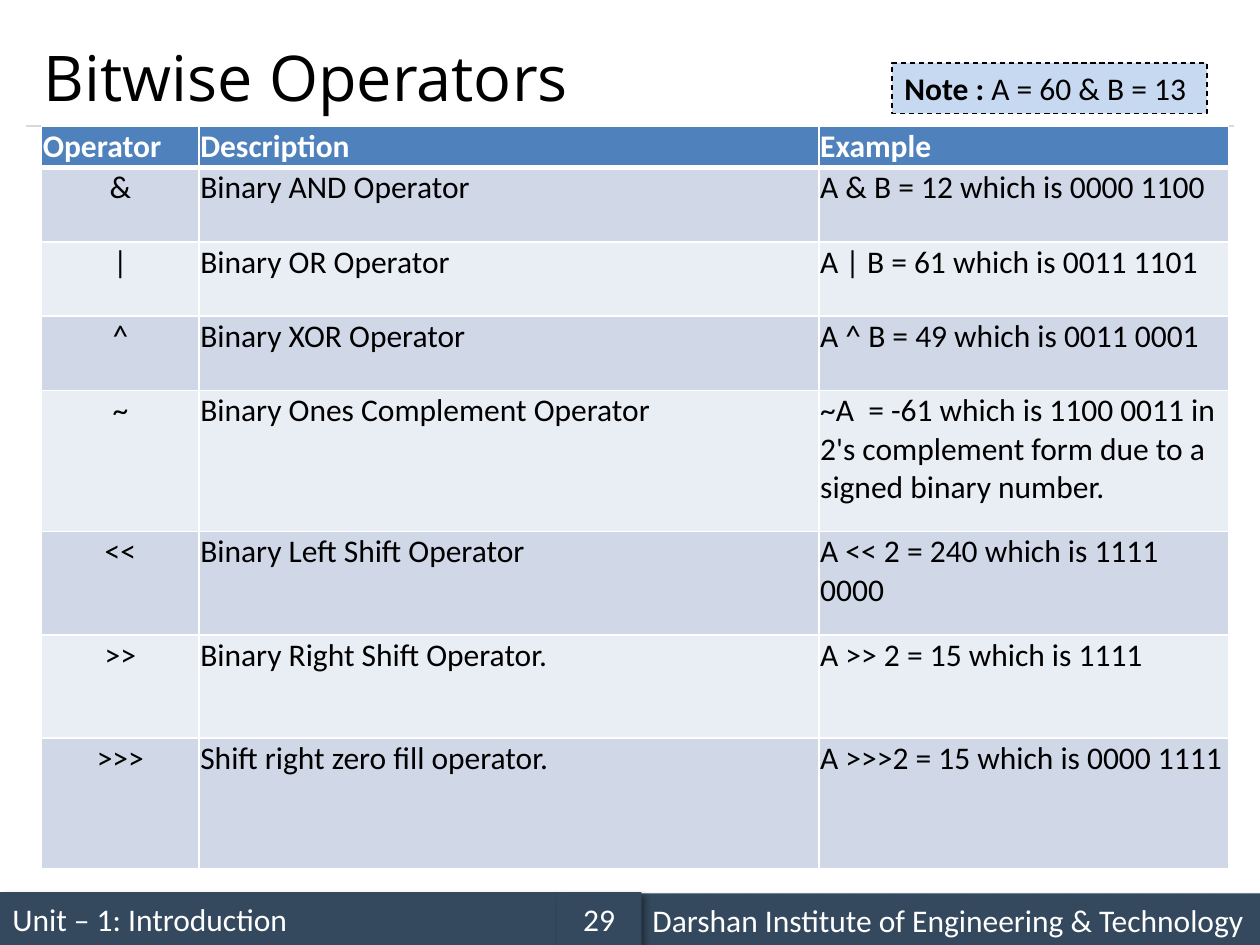
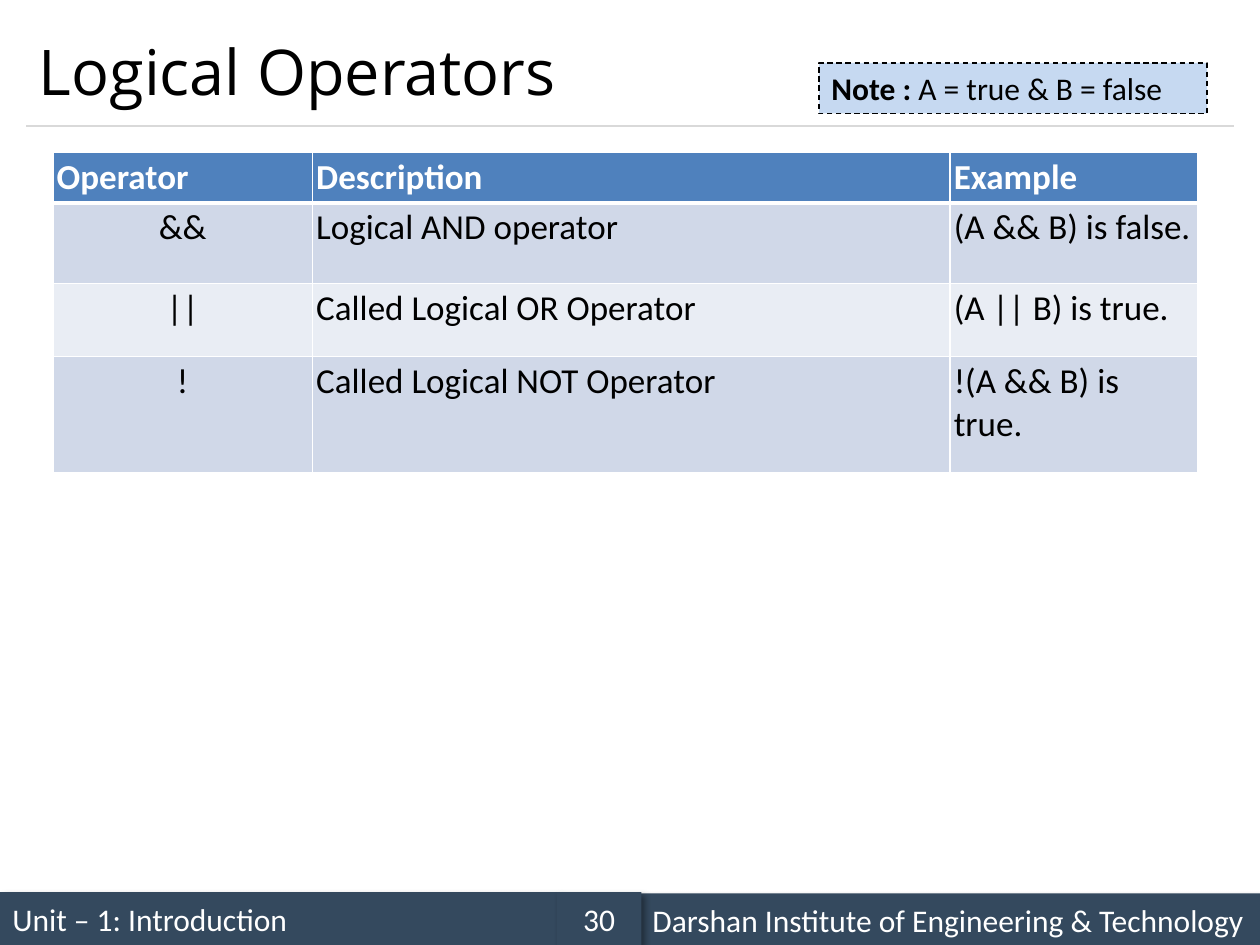
"""Build two slides on Java operators with a shared title, note and footer style."""
from dataclasses import dataclass
from typing import Any

from lxml import etree
from pptx import Presentation
from pptx.dml.color import RGBColor
from pptx.enum.dml import MSO_LINE
from pptx.enum.shapes import MSO_CONNECTOR, MSO_SHAPE
from pptx.enum.text import MSO_ANCHOR, MSO_AUTO_SIZE, PP_ALIGN
from pptx.oxml import parse_xml
from pptx.util import Inches, Pt

RECT = MSO_SHAPE.RECTANGLE
LINE = MSO_CONNECTOR.STRAIGHT
DASH = MSO_LINE.DASH
TOP, MIDDLE = MSO_ANCHOR.TOP, MSO_ANCHOR.MIDDLE
LEFT, CENTER = PP_ALIGN.LEFT, PP_ALIGN.CENTER
FIT = MSO_AUTO_SIZE.SHAPE_TO_FIT_TEXT
NS = "http://schemas.openxmlformats.org/drawingml/2006/main"


@dataclass(frozen=True)
class Theme:
    black: str = "000000"
    white: str = "FFFFFF"
    bar: str = "34495E"
    rule: str = "D9D9D9"
    head: str = "4F81BD"
    bands: tuple[str, str] = ("D0D8E8", "E9EDF4")
    note: str = "C6D9F1"
    font: str = "Calibri"
    title_font: str = "Open Sans"
    title_size: int = 36
    body_size: int = 18
    thin: float = 0.75
    grid: int = 1
    thick: int = 3


@dataclass(frozen=True)
class Box:
    left: float
    top: float
    width: float
    height: float

    def emu(self) -> list[int]:
        return [Inches(n) for n in (self.left, self.top, self.width, self.height)]


@dataclass(frozen=True)
class Bar:
    box: Box
    text: str
    align: Any = LEFT


@dataclass(frozen=True)
class Grid:
    box: Box
    cols: list[float]
    heights: list[float]
    inset: float
    size: int
    rows: list[tuple[str, str, str]]


@dataclass(frozen=True)
class Page:
    number: int
    title: str
    title_box: Box
    note: str
    note_box: Box
    grid: Grid


THEME = Theme()
HEADS = ("Operator", "Description", "Example")

PAGES = [
    Page(29, "Bitwise Operators", Box(0.25, 0.12, 9, 0.97),
         "A = 60 & B = 13", Box(7.08, 0.5, 2.5, 0.4),
         Grid(Box(0.33, 1, 9.42, 5.9), [1.25, 4.92, 3.25],
              [0.33, 0.59, 0.59, 0.59, 1.12, 0.82, 0.82, 1.04], 0.01, 18, [
             ("&", "Binary AND Operator", "A & B = 12 which is 0000 1100"),
             ("|", "Binary OR Operator", "A | B = 61 which is 0011 1101"),
             ("^", "Binary XOR Operator", "A ^ B = 49 which is 0011 0001"),
             ("~", "Binary Ones Complement Operator",
              "~A  = -61 which is 1100 0011 in 2's complement form "
              "due to a signed binary number."),
             ("<<", "Binary Left Shift Operator", "A << 2 = 240 which is 1111 0000"),
             (">>", "Binary Right Shift Operator.", "A >> 2 = 15 which is 1111"),
             (">>>", "Shift right zero fill operator.",
              "A >>>2 = 15 which is 0000 1111"),
         ])),
    Page(30, "Logical Operators", Box(0.21, 0.12, 9.58, 0.88),
         "A = true & B = false", Box(6.5, 0.5, 3.08, 0.4),
         Grid(Box(0.42, 1.21, 9.08, 2.54), [2.06, 5.06, 1.97],
              [0.4, 0.64, 0.58, 0.92], 0.03, 20, [
             ("&&", "Logical AND operator", "(A && B) is false."),
             ("||", "Called Logical OR Operator", "(A || B) is true."),
             ("!", "Called Logical NOT Operator", "!(A && B) is true."),
         ])),
]


def style(font: Any, size: int, color: str, bold: bool = False,
          name: str = THEME.font) -> None:
    font.name, font.size, font.bold = name, Pt(size), bold
    font.color.rgb = RGBColor.from_string(color)


def paint(item: Any, color: str) -> None:
    item.fill.solid()
    item.fill.fore_color.rgb = RGBColor.from_string(color)


def add_rect(slide: Any, box: Box, color: str) -> Any:
    shape = slide.shapes.add_shape(RECT, *box.emu())
    shape.shadow.inherit = False
    paint(shape, color)
    shape.line.fill.background()
    shape.text_frame.word_wrap = True
    return shape


def add_bar(slide: Any, bar: Bar) -> None:
    shape = add_rect(slide, bar.box, THEME.bar)
    effects = shape.element.spPr.find(f"{{{NS}}}effectLst")
    effects.append(parse_xml(
        f'<a:outerShdw xmlns:a="{NS}" blurRad="{Pt(4)}" dist="{Pt(3)}" '
        f'dir="2700000" algn="tl" rotWithShape="0"><a:srgbClr val="{THEME.black}">'
        '<a:alpha val="40000"/></a:srgbClr></a:outerShdw>'))
    frame = shape.text_frame
    frame.vertical_anchor = MIDDLE
    frame.text = bar.text
    para = frame.paragraphs[0]
    para.alignment = bar.align
    style(para.runs[0].font, THEME.body_size, THEME.white)


def add_frame(slide: Any, number: int) -> None:
    add_bar(slide, Bar(Box(0, 7.08, 4.42, 0.42), "Unit – 1: Introduction"))
    rule = slide.shapes.add_connector(
        LINE, Inches(0.21), Inches(1), Inches(9.79), Inches(1))
    rule.line.color.rgb = RGBColor.from_string(THEME.rule)
    rule.line.width = Pt(THEME.thin)
    etree.SubElement(rule.element.spPr, f"{{{NS}}}effectLst")
    add_bar(slide, Bar(Box(5.08, 7.09, 4.92, 0.42),
                       "Darshan Institute of Engineering & Technology"))
    add_bar(slide, Bar(Box(4.42, 7.08, 0.67, 0.42), str(number), CENTER))


def add_title(slide: Any, text: str, box: Box) -> None:
    frame = slide.shapes.add_textbox(*box.emu()).text_frame
    frame.word_wrap = True
    frame.vertical_anchor = MIDDLE
    frame.text = text
    style(frame.paragraphs[0].runs[0].font, THEME.title_size, THEME.black,
          name=THEME.title_font)


def add_note(slide: Any, text: str, box: Box) -> None:
    shape = add_rect(slide, box, THEME.note)
    shape.line.color.rgb = RGBColor.from_string(THEME.black)
    shape.line.width = Pt(THEME.thin)
    shape.line.dash_style = DASH
    frame = shape.text_frame
    frame.vertical_anchor = TOP
    frame.auto_size = FIT
    para = frame.paragraphs[0]
    para.alignment = LEFT
    for words, bold in (("Note : ", True), (text, False)):
        run = para.add_run()
        run.text = words
        style(run.font, THEME.body_size, THEME.black, bold)


def add_edges(cell: Any, row: int) -> None:
    props = cell._tc.get_or_add_tcPr()
    heavy = {("B", 0), ("T", 1)}
    for side in "LRTB":
        width = THEME.thick if (side, row) in heavy else THEME.grid
        props.append(parse_xml(
            f'<a:ln{side} xmlns:a="{NS}" w="{Pt(width)}"><a:solidFill>'
            f'<a:srgbClr val="{THEME.white}"/></a:solidFill></a:ln{side}>'))


def fill_cell(cell: Any, text: str, row: int, col: int, grid: Grid) -> None:
    head = row == 0
    add_edges(cell, row)
    paint(cell, THEME.head if head else THEME.bands[(row - 1) % 2])
    inset = Inches(grid.inset)
    cell.margin_left = cell.margin_right = inset
    cell.margin_top = cell.margin_bottom = inset
    cell.text = text
    para = cell.text_frame.paragraphs[0]
    para.alignment = LEFT if head or col else CENTER
    style(para.runs[0].font, grid.size, THEME.white if head else THEME.black, head)


def add_grid(slide: Any, grid: Grid) -> None:
    rows = [HEADS, *grid.rows]
    table = slide.shapes.add_table(len(rows), len(HEADS), *grid.box.emu()).table
    for col, width in zip(table.columns, grid.cols):
        col.width = Inches(width)
    for line, height in zip(table.rows, grid.heights):
        line.height = Inches(height)
    for row, texts in enumerate(rows):
        for col, text in enumerate(texts):
            fill_cell(table.cell(row, col), text, row, col, grid)


def main() -> None:
    deck = Presentation()
    deck.slide_width, deck.slide_height = Inches(10), Inches(7.5)
    for page in PAGES:
        slide = deck.slides.add_slide(deck.slide_layouts[6])
        add_frame(slide, page.number)
        add_title(slide, page.title, page.title_box)
        add_grid(slide, page.grid)
        add_note(slide, page.note, page.note_box)
    deck.save("out.pptx")


if __name__ == "__main__":
    main()
